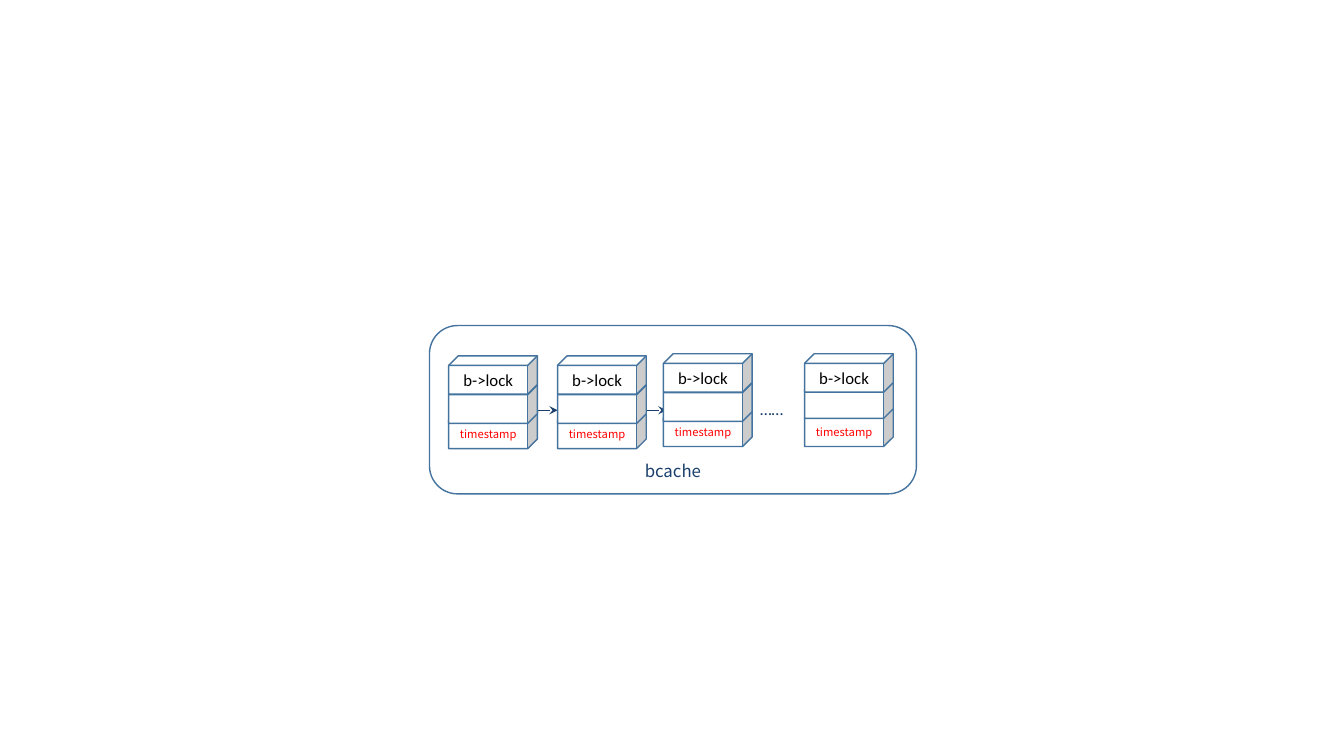
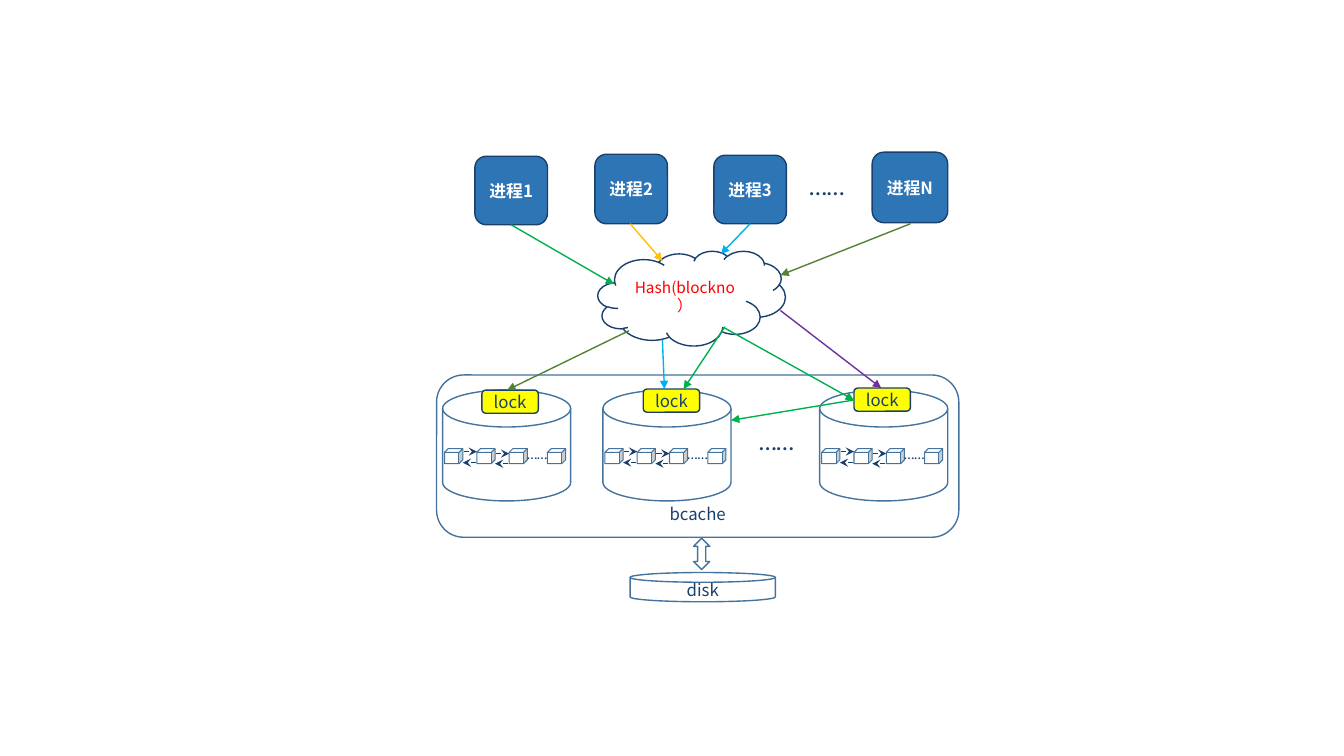
from dataclasses import dataclass
from typing import NamedTuple, Optional

import lxml.etree
import pptx
import pptx.dml.color
import pptx.enum.shapes
import pptx.enum.text
import pptx.oxml.ns
import pptx.shapes.autoshape
import pptx.shapes.base
import pptx.slide
import pptx.util

RGBColor = pptx.dml.color.RGBColor
Kind = pptx.enum.shapes.MSO_SHAPE
Anchor = pptx.enum.text.MSO_ANCHOR
Align = pptx.enum.text.PP_ALIGN
qn = pptx.oxml.ns.qn

# Colours
WHITE = RGBColor(0xFF, 0xFF, 0xFF)
BLACK = RGBColor(0, 0, 0)
RED = RGBColor(0xFF, 0, 0)
YELLOW = RGBColor(0xFF, 0xFF, 0)
NAVY = RGBColor(0x1A, 0x3F, 0x6C)
STEEL = RGBColor(0x43, 0x73, 0x9E)
BLUE = RGBColor(0x2E, 0x75, 0xB6)
SKY = RGBColor(0, 0xB0, 0xF0)
GREEN = RGBColor(0, 0xB0, 0x50)
OLIVE = RGBColor(0x54, 0x82, 0x35)
GOLD = RGBColor(0xFF, 0xC0, 0)
PURPLE = RGBColor(0x70, 0x30, 0xA0)

# Grid: every place and size below counts columns and rows
WIDE, HIGH = pptx.util.Inches(13.33), pptx.util.Inches(7.5)
COL, ROW = WIDE / 133.3, HIGH / 75
THIN = 0.75


class Area(NamedTuple):
    x: float
    y: float
    w: float
    h: float


class Point(NamedTuple):
    x: float
    y: float


@dataclass(frozen=True)
class Type:
    size: float
    tint: RGBColor
    face: str = "Noto Sans CJK SC"
    bold: bool = False


@dataclass(frozen=True)
class Look:
    kind: Kind
    line: RGBColor = STEEL
    fill: Optional[RGBColor] = None
    width: float = 1
    anchor: Anchor = Anchor.MIDDLE


@dataclass(frozen=True)
class Arrow:
    start: Point
    end: Point
    tint: RGBColor = NAVY
    head: str = "triangle"
    width: float = 1


@dataclass(frozen=True)
class Stack:
    x: float
    y: float
    mid: float = 2.9


@dataclass(frozen=True)
class Pool:
    x: float
    lock: Point


# Shared styles
LABEL = Type(12, NAVY)
STAMP = Type(8, RED)
CODE = Type(12, BLACK, "Calibri")
TASK = Type(12, WHITE, bold=True)
HASH = Type(11, RED)
FRAME = Look(Kind.ROUNDED_RECTANGLE, anchor=Anchor.BOTTOM)
BLOCK = Look(Kind.CUBE, fill=WHITE)
SMALL = Look(Kind.CUBE, fill=WHITE, width=THIN)
DRUM = Look(Kind.FLOWCHART_MAGNETIC_DISK)
LOCK = Look(Kind.ROUNDED_RECTANGLE, NAVY, YELLOW)
BOX = Look(Kind.ROUNDED_RECTANGLE, NAVY, BLUE)
CLOUD = Look(Kind.CLOUD, NAVY)
LINK = Look(Kind.UP_DOWN_ARROW)


def across(count: float) -> int:
    return round(count * COL)


def down(count: float) -> int:
    return round(count * ROW)


def place(area: Area) -> tuple[int, int, int, int]:
    return across(area.x), down(area.y), across(area.w), down(area.h)


def write(shape: pptx.shapes.autoshape.Shape, words: str, style: Type,
          align: Align) -> None:
    line = shape.text_frame.paragraphs[0]
    line.alignment = align
    run = line.add_run()
    run.text = words
    font = run.font
    font.size = pptx.util.Pt(style.size)
    font.bold = style.bold
    font.color.rgb = style.tint
    font.name = style.face
    for props in shape.element.iter(qn("a:rPr")):
        lxml.etree.SubElement(props, qn("a:ea"), typeface=style.face)


def draw(slide: pptx.slide.Slide, area: Area, look: Look, words: str = "",
         style: Type = LABEL) -> None:
    shape = slide.shapes.add_shape(look.kind, *place(area))
    shape.shadow.inherit = False
    if look.fill is None:
        shape.fill.background()
    else:
        shape.fill.solid()
        shape.fill.fore_color.rgb = look.fill
    shape.line.color.rgb = look.line
    shape.line.width = pptx.util.Pt(look.width)
    shape.text_frame.word_wrap = True
    shape.text_frame.vertical_anchor = look.anchor
    if words:
        write(shape, words, style, Align.CENTER)


def dots(slide: pptx.slide.Slide, area: Area, size: float) -> None:
    shape = slide.shapes.add_textbox(*place(area))
    shape.text_frame.word_wrap = True
    shape.text_frame.auto_size = pptx.enum.text.MSO_AUTO_SIZE.SHAPE_TO_FIT_TEXT
    write(shape, "……", Type(size, NAVY, "Calibri"), Align.LEFT)


def point(slide: pptx.slide.Slide, arrow: Arrow) -> None:
    line = slide.shapes.add_connector(
        pptx.enum.shapes.MSO_CONNECTOR.STRAIGHT,
        across(arrow.start.x), down(arrow.start.y),
        across(arrow.end.x), down(arrow.end.y))
    line.line.color.rgb = arrow.tint
    line.line.width = pptx.util.Pt(arrow.width)
    props = line.element.spPr
    lxml.etree.SubElement(props.find(qn("a:ln")), qn("a:tailEnd"), type=arrow.head)
    lxml.etree.SubElement(props, qn("a:effectLst"))


def pile(slide: pptx.slide.Slide, stack: Stack) -> None:
    """Draw one buffer, lowest block first."""
    for drop, words, style in ((5.4, "timestamp", STAMP), (stack.mid, "", CODE),
                               (0, "b->lock", CODE)):
        draw(slide, Area(stack.x, stack.y + drop, 8.8, 3.8), BLOCK, words, style)


def chain(slide: pptx.slide.Slide, left: float) -> None:
    """Draw the linked list inside one pool."""
    for step in (0.2, 3.4, 6.6, 10.4):
        draw(slide, Area(left + step, 44.5, 1.8, 1.5), SMALL)
    for step, high, low in ((2.1, 44.8, 45.9), (5.3, 45, 46)):
        x = left + step
        for start, end in ((Point(x, high), Point(x + 1.3, high)),
                           (Point(x + 1.2, low), Point(x - 0.1, low))):
            point(slide, Arrow(start, end, head="stealth", width=THIN))
    dots(slide, Area(left + 7.4, 43.6, 4.3, 2.9), 10.5)


deck = pptx.Presentation()
deck.slide_width, deck.slide_height = WIDE, HIGH
blank = deck.slide_layouts[6]

# Slide 1: buffers with a timestamp
slide = deck.slides.add_slide(blank)
for left in (53.3, 64.1):
    point(slide, Arrow(Point(left, 40.7), Point(left + 2, 40.7), head="stealth"))
dots(slide, Area(74.4, 39.1, 8.8, 3), 12)
draw(slide, Area(42.6, 32.3, 48.3, 16.7), FRAME, "bcache")
for stack in (Stack(44.5, 35.3), Stack(55.3, 35.3), Stack(65.8, 35.1),
              Stack(79.8, 35.1, 2.6)):
    pile(slide, stack)

# Slide 2: hashed pools, each with its own lock
slide = deck.slides.add_slide(blank)
draw(slide, Area(43.3, 37.2, 51.8, 16.1), FRAME, "bcache")
draw(slide, Area(59.3, 24.9, 18.6, 9.4), CLOUD, "Hash(blockno）", HASH)

# Tasks
for mark, area in (("1", Area(47.1, 15.5, 7.2, 6.8)),
                   ("2", Area(59, 15.3, 7.2, 6.9)),
                   ("3", Area(70.8, 15.4, 7.2, 6.8)),
                   ("N", Area(86.5, 15.1, 7.5, 7))):
    draw(slide, area, BOX, "进程" + mark, TASK)
for spot in (Point(79.3, 16.4), Point(74.3, 41.7)):
    dots(slide, Area(*spot, 6.7, 4), 18)

# Disk
draw(slide, Area(62.5, 56.8, 14.4, 2.9), DRUM, "disk")
draw(slide, Area(68.8, 53.4, 1.6, 3.1), LINK)

# Pools
for pool in (Pool(43.9, Point(47.8, 38.7)), Pool(59.8, Point(63.8, 38.6)),
             Pool(81.3, Point(84.7, 38.5))):
    draw(slide, Area(pool.x, 38.7, 12.7, 11), DRUM)
    chain(slide, pool.x)
    draw(slide, Area(*pool.lock, 5.6, 2.3), LOCK, "lock")

# Paths from tasks through the hash to the locks
for arrow in (
    Arrow(Point(50.7, 22.3), Point(60.9, 28.2), GREEN),
    Arrow(Point(62.5, 22.2), Point(65.7, 25.9), GOLD),
    Arrow(Point(74.4, 22.2), Point(71.5, 25.2), SKY),
    Arrow(Point(90.3, 22.2), Point(77.4, 27.3), OLIVE),
    Arrow(Point(62.4, 32.8), Point(50.3, 38.7), OLIVE),
    Arrow(Point(65.7, 33.7), Point(65.9, 38.6), SKY),
    Arrow(Point(77.4, 30.8), Point(87.4, 38.5), PURPLE),
    Arrow(Point(71.9, 32.4), Point(67.8, 38.6), GREEN),
    Arrow(Point(71.8, 32.5), Point(84.7, 39.7), GREEN),
    Arrow(Point(84.6, 39.7), Point(72.5, 41.7), GREEN),
):
    point(slide, arrow)

deck.save("out.pptx")
